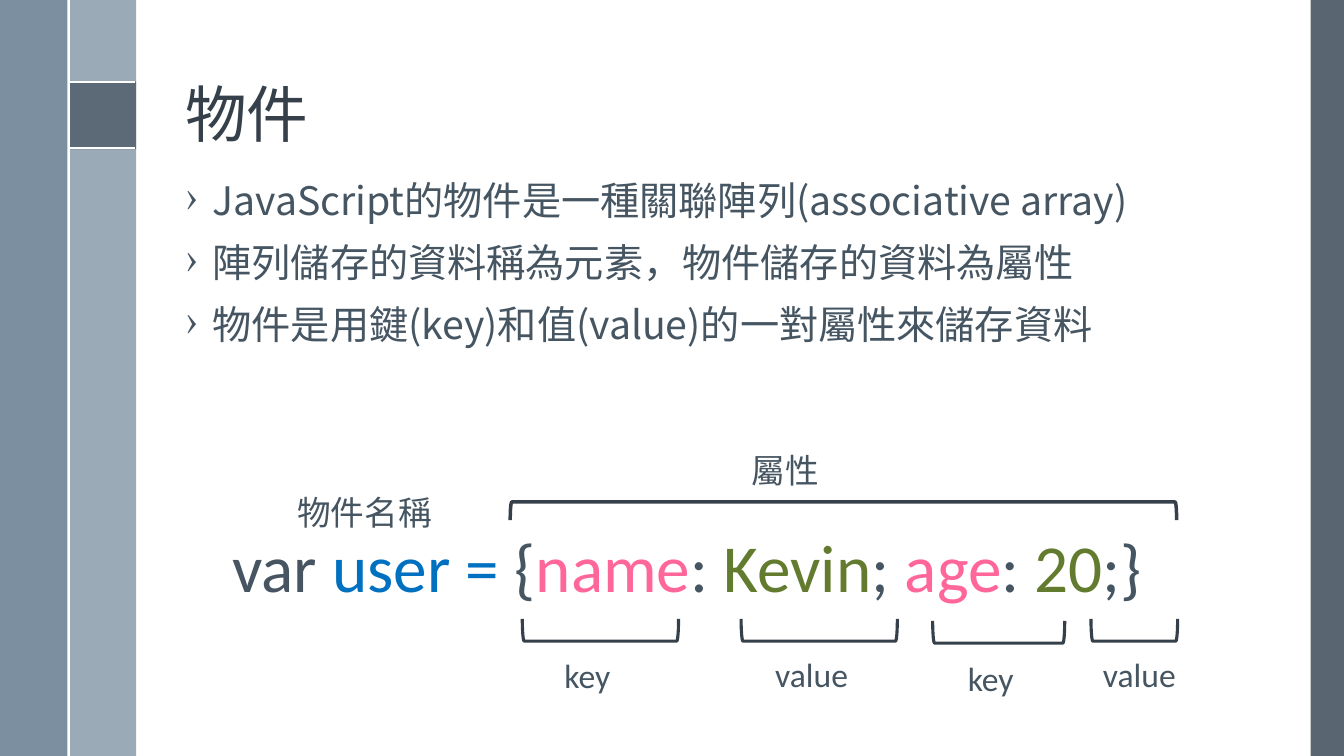
from lxml.etree import SubElement
from pptx import Presentation
from pptx.dml.color import RGBColor
from pptx.enum.shapes import MSO_CONNECTOR, MSO_SHAPE
from pptx.enum.text import MSO_ANCHOR, PP_ALIGN
from pptx.oxml.ns import qn
from pptx.util import Inches, Pt

CJK_FONT = "Noto Sans CJK TC"
DARK = "35404A"
TEXT = "465562"
SLATE = "475562"
PINK = "FF6699"
GREEN = "637B2E"


def color(value):
    return RGBColor.from_string(value)


def add_panel(page, left, top, width, height, fill, opacity=100):
    panel = page.shapes.add_shape(
        MSO_SHAPE.RECTANGLE, Inches(left), Inches(top), Inches(width), Inches(height))
    panel.shadow.inherit = False
    panel.fill.solid()
    panel.fill.fore_color.rgb = color(fill)
    panel.line.fill.background()
    if opacity < 100:
        tint = panel.fill._xPr.find(qn("a:solidFill"))[0]
        SubElement(tint, qn("a:alpha")).set("val", str(opacity * 1000))


def add_rule(page, x1, y1, x2, y2):
    rule = page.shapes.add_connector(
        MSO_CONNECTOR.STRAIGHT, Inches(x1), Inches(y1), Inches(x2), Inches(y2))
    rule.line.color.rgb = color("FFFFFF")
    rule.line.width = Pt(1.5)
    SubElement(rule._element.spPr, qn("a:effectLst"))


def add_bracket(page, kind, left, top, width, height, weight=2.25):
    bracket = page.shapes.add_shape(
        kind, Inches(left + (width - height) / 2), Inches(top + (height - width) / 2),
        Inches(height), Inches(width))
    bracket.rotation = 90
    bracket.shadow.inherit = False
    bracket.fill.background()
    bracket.line.color.rgb = color(DARK)
    bracket.line.width = Pt(weight)


def add_box(page, left, top, width, height, wrap=True):
    box = page.shapes.add_textbox(Inches(left), Inches(top), Inches(width), Inches(height))
    box.text_frame.word_wrap = wrap
    return box.text_frame


def add_span(para, text, size, ink, font="Calibri"):
    span = para.add_run()
    span.text = text
    span.font.size = Pt(size)
    span.font.color.rgb = color(ink)
    span.font.name = font
    SubElement(span._r.get_or_add_rPr(), qn("a:ea")).set("typeface", CJK_FONT)


def add_title(page, text):
    frame = add_box(page, 1.74, 0.19, 10.7, 1.36)
    frame.vertical_anchor = MSO_ANCHOR.BOTTOM
    para = frame.paragraphs[0]
    para.line_spacing = 0.9
    add_span(para, text, 44, DARK, CJK_FONT)


def add_bullets(page, lines):
    frame = add_box(page, 1.74, 1.75, 10.7, 5)
    for index, line in enumerate(lines):
        para = frame.add_paragraph() if index else frame.paragraphs[0]
        properties = para._p.get_or_add_pPr()
        properties.set("marL", str(Inches(0.27)))
        properties.set("indent", str(Inches(-0.27)))
        SubElement(properties, qn("a:buChar")).set("char", "›")
        para.line_spacing = 0.9
        if index:
            para.space_before = Pt(14)
        add_span(para, line, 28, TEXT, CJK_FONT)


def add_code(page, pieces):
    para = add_box(page, 1.61, 5.16, 10.41, 0.91, wrap=False).paragraphs[0]
    para.alignment = PP_ALIGN.CENTER
    for text, ink in pieces:
        add_span(para, text, 48, ink)


def add_label(page, text, left, top, width):
    add_span(add_box(page, left, top, width, 0.5).paragraphs[0], text, 24, TEXT)


def add_frame(page):
    add_panel(page, 13, 0, 0.33, 7.5, SLATE, 90)
    add_panel(page, 0.68, 0, 0.67, 7.5, "9BAAB7")
    add_panel(page, 0, 0, 0.67, 7.5, "6A8093", 88)
    add_panel(page, 0.68, 0.81, 0.67, 0.67, SLATE, 75)
    for y in (0.81, 1.47):
        add_rule(page, 0.68, y, 1.34, y)
    add_rule(page, 0.68, 0, 0.68, 7.5)


def main():
    deck = Presentation()
    deck.slide_width = Inches(13.33)
    deck.slide_height = Inches(7.5)
    page = deck.slides.add_slide(deck.slide_layouts[6])
    add_frame(page)
    add_title(page, "物件")
    add_bullets(page, [
        "JavaScript的物件是一種關聯陣列(associative array)",
        "陣列儲存的資料稱為元素，物件儲存的資料為屬性",
        "物件是用鍵(key)和值(value)的一對屬性來儲存資料",
    ])
    add_code(page, [
        ("var", SLATE), (" user =", "0070C0"), (" {", TEXT), ("name", PINK),
        (": ", TEXT), ("Kevin", GREEN), ("; ", TEXT), ("age", PINK),
        (": ", TEXT), ("20", GREEN), (";}", TEXT),
    ])
    add_bracket(page, MSO_SHAPE.LEFT_BRACKET, 5.06, 4.98, 6.61, 0.18, 2.5)
    for left, top, width in [
        (5.18, 6.14, 1.55), (7.35, 6.14, 1.55), (9.25, 6.16, 1.31), (10.82, 6.14, 0.86),
    ]:
        add_bracket(page, MSO_SHAPE.RIGHT_BRACKET, left, top, width, 0.22)
    for text, left, top, width in [
        ("屬性", 7.36, 4.41, 1.15), ("物件名稱", 2.85, 4.83, 1.67),
        ("key", 5.5, 6.45, 0.93), ("value", 7.59, 6.44, 1.21),
        ("key", 9.5, 6.48, 1.09), ("value", 10.84, 6.44, 1.01),
    ]:
        add_label(page, text, left, top, width)
    deck.save("out.pptx")


if __name__ == "__main__":
    main()
